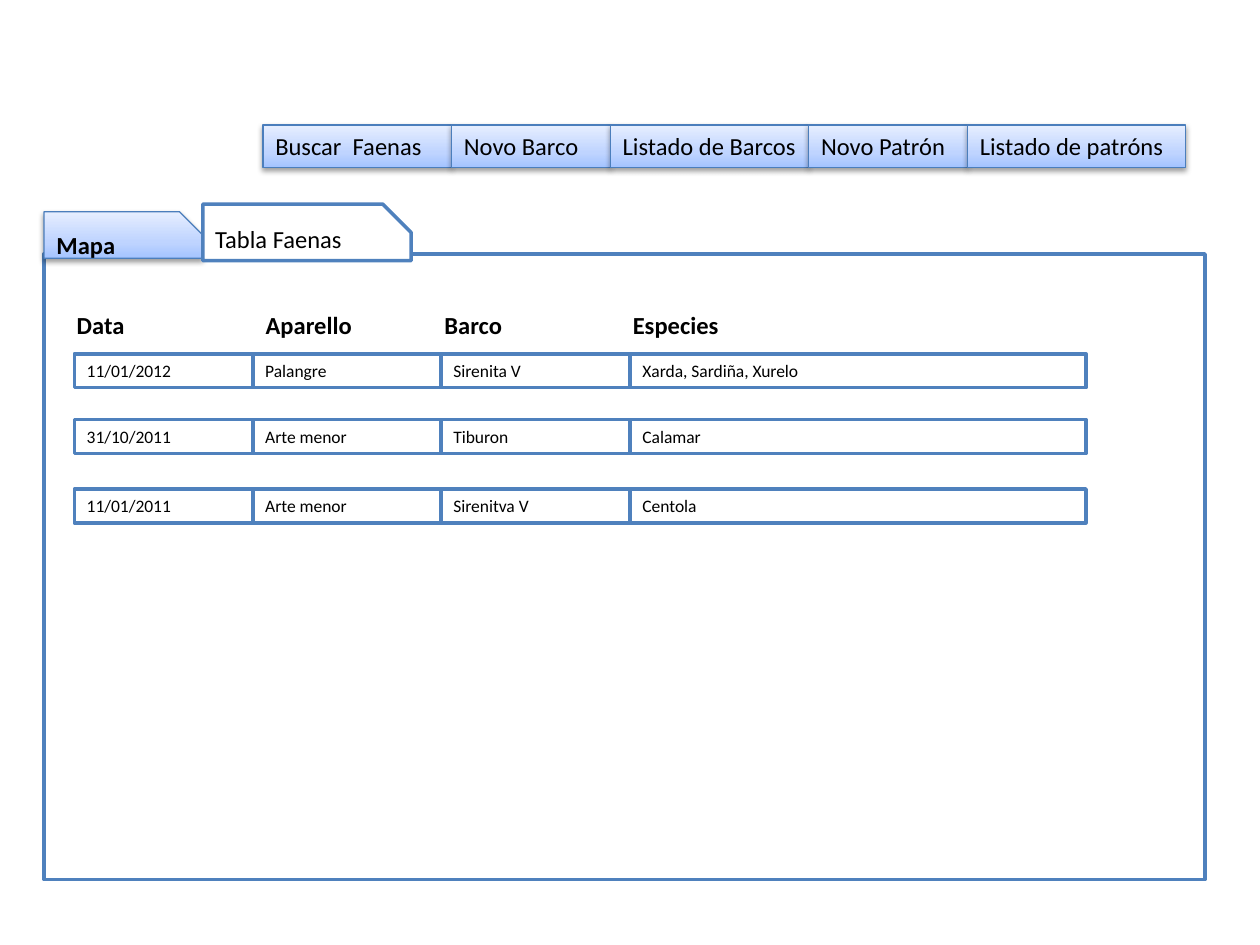
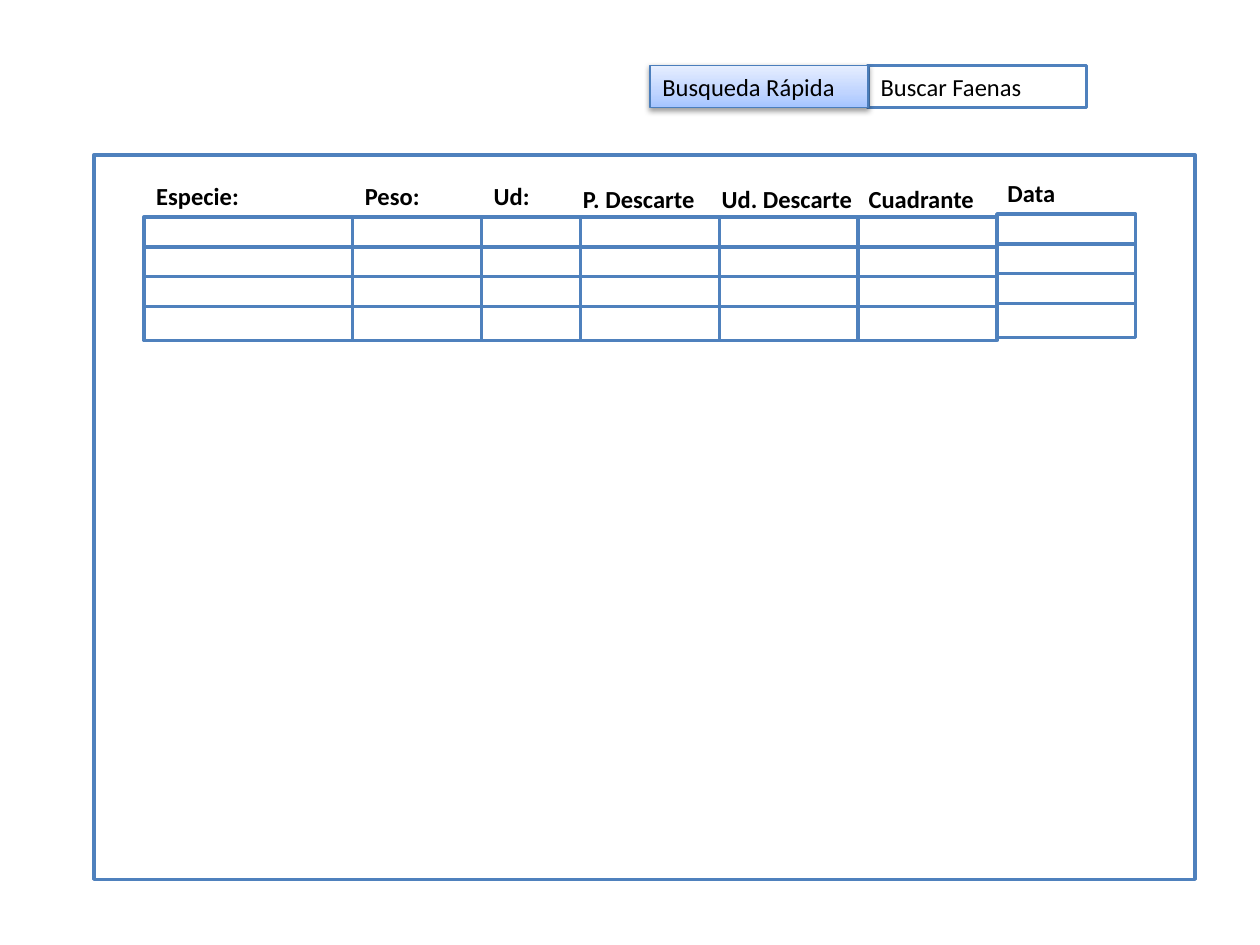
from copy import deepcopy
from dataclasses import dataclass
from itertools import accumulate

from lxml.etree import SubElement
from pptx import Presentation
from pptx.dml.color import RGBColor
from pptx.enum.shapes import MSO_SHAPE
from pptx.enum.text import MSO_ANCHOR, MSO_AUTO_SIZE, PP_ALIGN
from pptx.oxml.ns import qn
from pptx.util import Pt

FONT = "Calibri"
BLACK, WHITE, BLUE = "000000", "FFFFFF", "4F81BD"
GLOW = [(0, "A4C4FF"), (0.35, "BFD4FF"), (1, "E6EEFF")]
BAR = 24.2


@dataclass(frozen=True)
class Skin:
    fill: str = ""
    line: str = ""
    width: float = 2
    glow: bool = False


@dataclass(frozen=True)
class Box:
    left: float
    top: float
    width: float
    height: float
    text: str = ""
    size: float = 14
    bold: bool = False
    skin: Skin = Skin(WHITE, BLUE)
    form: MSO_SHAPE = MSO_SHAPE.RECTANGLE


FRAME = Skin(line=BLUE)
LABEL = Skin()
BLANK = Skin(WHITE, WHITE)
GLASS = Skin(line="4B7EBC", width=0.75, glow=True)


def tint(code: str) -> RGBColor:
    return RGBColor.from_string(code)


def shine(shape) -> None:
    shape.fill.gradient()
    shape.fill.gradient_angle = 90
    props = shape.element.spPr
    stops = props.find(qn("a:gradFill")).find(qn("a:gsLst"))
    stops.insert(1, deepcopy(stops[0]))
    for stop, (place, code) in zip(shape.fill.gradient_stops, GLOW):
        stop.position = place
        stop.color.rgb = tint(code)
    shade = SubElement(props.find(qn("a:effectLst")), qn("a:outerShdw"),
                       blurRad=str(Pt(3.15)), dist=str(Pt(1.57)),
                       dir="5400000", rotWithShape="0")
    color = SubElement(shade, qn("a:srgbClr"), val=BLACK)
    SubElement(color, qn("a:alpha"), val="38000")


def write(shape, box: Box) -> None:
    frame = shape.text_frame
    frame.text = box.text
    frame.word_wrap = True
    frame.margin_right = Pt(0)
    frame.vertical_anchor = MSO_ANCHOR.TOP
    frame.auto_size = MSO_AUTO_SIZE.SHAPE_TO_FIT_TEXT
    para = frame.paragraphs[0]
    para.alignment = PP_ALIGN.LEFT
    font = para.runs[0].font
    font.name, font.size, font.bold = FONT, Pt(box.size), box.bold
    font.color.rgb = tint(BLACK)


def draw(slide, box: Box) -> None:
    area = [Pt(n) for n in (box.left, box.top, box.width, box.height)]
    skin = box.skin
    if skin == LABEL:
        shape = slide.shapes.add_textbox(*area)
    else:
        shape = slide.shapes.add_shape(box.form, *area)
        shape.shadow.inherit = False
        shape.line.color.rgb = tint(skin.line)
        shape.line.width = Pt(skin.width)
        if box.form == MSO_SHAPE.SNIP_1_RECTANGLE:
            shape.adjustments[0] = 0.5
        if skin.glow:
            shine(shape)
        elif skin.fill:
            shape.fill.solid()
            shape.fill.fore_color.rgb = tint(skin.fill)
        else:
            shape.fill.background()
    if box.text:
        write(shape, box)


def edges(left: float, widths: list[float]) -> list[float]:
    return list(accumulate(widths[:-1], initial=left))


def trips(slide) -> None:
    draw(slide, Box(25.2, 145.2, 663.4, 357.4))
    snip = MSO_SHAPE.SNIP_1_RECTANGLE
    draw(slide, Box(25.2, 121, 90.7, 26.6, "Mapa", bold=True, skin=GLASS, form=snip))
    draw(slide, Box(115.9, 116.6, 119, 32.4, "Tabla Faenas", form=snip))

    heads = [("Data", 36.7, 181), ("Aparello", 144.7, 79),
             ("Barco", 246.9, 96.5), ("Especies", 354.5, 73.5)]
    for text, left, width in heads:
        draw(slide, Box(left, 173.5, width, BAR, text, bold=True, skin=BLANK))

    widths = [102, 107.5, 108, 260.6]
    rows = [
        (202.2, ["11/01/2012", "Palangre", "Sirenita V", "Xarda, Sardiña, Xurelo"]),
        (239.8, ["31/10/2011", "Arte menor", "Tiburon", "Calamar"]),
        (279.4, ["11/01/2011", "Arte menor", "Sirenitva V", "Centola"]),
    ]
    for top, texts in rows:
        for left, width, text in zip(edges(42.5, widths), widths, texts):
            draw(slide, Box(left, top, width, 19.4, text, size=10))

    menu = ["Buscar  Faenas", "Novo Barco", "Listado de Barcos",
            "Novo Patrón", "Listado de patróns"]
    widths = [107.8, 90.7, 113.4, 90.7, 124.7]
    for left, width, text in zip(edges(150.2, widths), widths, menu):
        draw(slide, Box(left, 71.5, width, BAR, text, skin=GLASS))


def search(slide) -> None:
    draw(slide, Box(496.1, 37.4, 124.7, BAR, "Buscar Faenas"))
    draw(slide, Box(53.6, 88.5, 629.3, 414, skin=FRAME))
    draw(slide, Box(371.4, 37.4, 124.7, BAR, "Busqueda Rápida", skin=GLASS))

    widths = [119.2, 73.7, 56.7, 79.3, 79.3, 79.3, 79.3]
    for col, (left, width) in enumerate(zip(edges(82.2, widths), widths)):
        first = 122.3 if col == len(widths) - 1 else 124
        for row in range(4):
            draw(slide, Box(left, first + 17.05 * row, width, 19.4))

    heads = [("Especie:", 82.2, 99.8, 185), ("Peso:", 201.4, 99.8, 52),
             ("Ud:", 275, 99.8, 52), ("P. Descarte", 326, 101.6, 97),
             ("Ud. Descarte", 405.3, 101.6, 97), ("Cuadrante", 489.3, 101.6, 97),
             ("Data", 568.6, 98.3, 97)]
    for text, left, top, width in heads:
        draw(slide, Box(left, top, width, BAR, text, bold=True, skin=LABEL))


def main() -> None:
    deck = Presentation()
    deck.slide_width, deck.slide_height = Pt(720), Pt(540)
    for build in (trips, search):
        build(deck.slides.add_slide(deck.slide_layouts[6]))
    deck.save("out.pptx")


if __name__ == "__main__":
    main()
